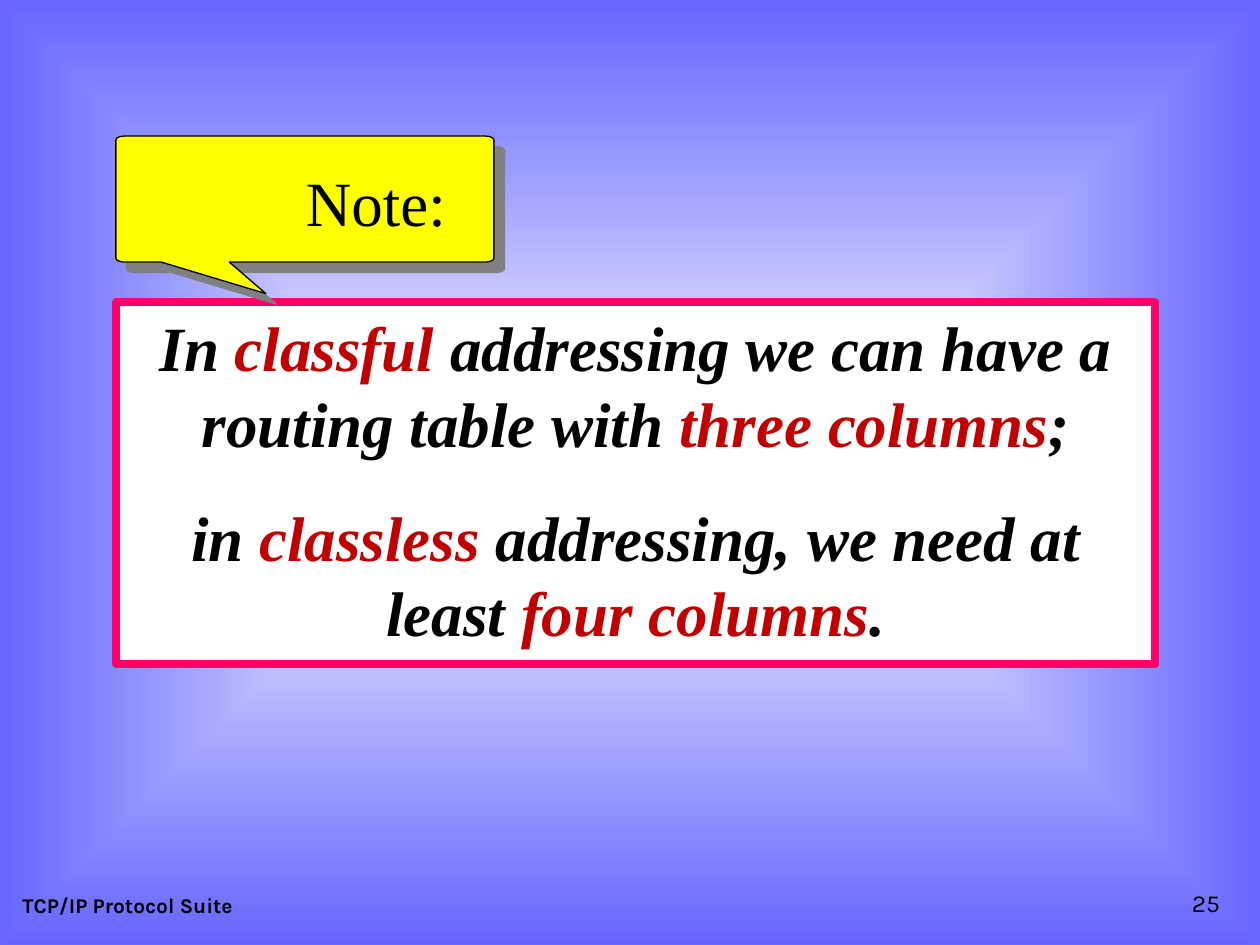
from dataclasses import dataclass
from math import cos, pi, sin

from pptx import Presentation
from pptx.dml.color import RGBColor
from pptx.enum.shapes import MSO_SHAPE as Shape
from pptx.enum.text import MSO_ANCHOR as Anchor, MSO_AUTO_SIZE as AutoSize, PP_ALIGN as Align
from pptx.oxml import parse_xml
from pptx.util import Inches, Pt

NAMESPACES = (
    'xmlns:a="http://schemas.openxmlformats.org/drawingml/2006/main" '
    'xmlns:p="http://schemas.openxmlformats.org/presentationml/2006/main"'
)


@dataclass(frozen=True)
class Theme:
    """Colours, fonts and type sizes of the deck."""
    black: str = "000000"
    white: str = "FFFFFF"
    blue: str = "6666FF"
    pink: str = "FF0066"
    red: str = "C00000"
    yellow: str = "FFFF00"
    grey: str = "808080"
    serif: str = "Times New Roman"
    sans: str = "Karla"
    large: int = 36
    number: int = 14
    footer: int = 12


def set_values(target, values):
    """Set each attribute named in a dict of format values."""
    for name, value in values.items():
        setattr(target, name, value)


class SlideBuilder:
    """Holds the theme and the current slide."""

    def __init__(self, slide, theme):
        """Keep the slide and its theme."""
        self.slide, self.theme = slide, theme

    def background(self):
        """Fill the background with a gradient spreading from the centre."""
        stops = "".join(
            f'<a:gs pos="{position}"><a:srgbClr val="{color}"/></a:gs>'
            for position, color in ((0, self.theme.white), (100000, self.theme.blue))
        )
        self.slide.element.cSld.insert(0, parse_xml(
            f'<p:bg {NAMESPACES}><p:bgPr><a:gradFill rotWithShape="0"><a:gsLst>{stops}</a:gsLst>'
            '<a:path path="shape"><a:fillToRect l="50000" t="50000" r="50000" b="50000"/></a:path>'
            '</a:gradFill><a:effectLst/></p:bgPr></p:bg>'
        ))

    def fill_text(self, box, paragraphs, font, frame, layout):
        """Put paragraphs of (text, colour) spans into a box."""
        set_values(box.text_frame, frame)
        for index, spans in enumerate(paragraphs):
            para = box.text_frame.add_paragraph() if index else box.text_frame.paragraphs[0]
            set_values(para, layout if index else {**layout, "space_before": Pt(0)})
            for text, color in spans:
                span = para.add_run()
                span.text = text
                set_values(span.font, font)
                span.font.color.rgb = RGBColor.from_string(color)

    def label(self, bounds, text, font, frame, align=Align.LEFT):
        """Add a one-line text box."""
        box = self.slide.shapes.add_textbox(*map(Inches, bounds))
        self.fill_text(box, [[(text, self.theme.black)]], font, frame, {"alignment": align})

    def paint(self, shape, fill, line, width):
        """Give a shape a solid fill and outline without shadow."""
        shape.shadow.inherit = False
        shape.fill.solid()
        shape.fill.fore_color.rgb = RGBColor.from_string(fill)
        shape.line.color.rgb = RGBColor.from_string(line)
        shape.line.width = Pt(width)

    def panel(self, bounds, paragraphs, font):
        """Add the framed panel with its centred statements."""
        box = self.slide.shapes.add_shape(Shape.RECTANGLE, *map(Inches, bounds))
        self.paint(box, self.theme.white, self.theme.pink, 4.5)
        frame = {"word_wrap": True, "vertical_anchor": Anchor.TOP,
                 "auto_size": AutoSize.SHAPE_TO_FIT_TEXT}
        layout = {"alignment": Align.CENTER, "space_before": Pt(12), "space_after": Pt(10)}
        self.fill_text(box, paragraphs, font, frame, layout)

    def callout(self, bounds, pointer, radii, steps=4):
        """Add a rounded callout with a pointer and an offset shadow."""
        left, top, width, height = bounds
        across, down = radii
        near_x, far_x = left + across, left + width - across
        near_y, far_y = top + down, top + height - down
        corners = ((far_x, near_y, 270), (far_x, far_y, 0), (near_x, far_y, 90), (near_x, near_y, 180))
        points = []
        for x, y, start in corners:
            if start == 90:
                points.extend(pointer)
            for step in range(steps + 1):
                angle = (start + 90 * step / steps) * pi / 180
                points.append((x + across * cos(angle), y + down * sin(angle)))
        outline = [(Inches(x), Inches(y)) for x, y in points]
        builder = self.slide.shapes.build_freeform(*outline[0])
        builder.add_line_segments(outline[1:], close=True)
        shape = builder.convert_to_shape()
        self.paint(shape, self.theme.yellow, self.theme.black, 0.75)
        effects = shape.element.spPr.find("{*}effectLst")
        effects.append(parse_xml(
            f'<a:outerShdw {NAMESPACES} dist="{Pt(8.5)}" dir="2700000" algn="ctr" rotWithShape="0">'
            f'<a:srgbClr val="{self.theme.grey}"/></a:outerShdw>'
        ))


def main():
    """Build and save the slide."""
    theme = Theme()
    deck = Presentation()
    set_values(deck, {"slide_width": Inches(10), "slide_height": Inches(7.5)})
    page = SlideBuilder(deck.slides.add_slide(deck.slide_layouts[6]), theme)
    page.background()

    large = {"name": theme.serif, "size": Pt(theme.large)}
    bottom = {"word_wrap": True, "vertical_anchor": Anchor.BOTTOM}
    page.label((0.08, 6.83, 3.17, 0.5), "TCP/IP Protocol Suite",
               {"name": theme.sans, "size": Pt(theme.footer), "bold": True}, bottom)
    page.label((7.7, 6.83, 2.08, 0.5), "25",
               {"name": theme.sans, "size": Pt(theme.number)}, bottom, Align.RIGHT)

    statements = [
        [("In ", theme.black), ("classful", theme.red),
         (" addressing we can have a routing table with ", theme.black),
         ("three columns", theme.red), (";", theme.black)],
        [("in ", theme.black), ("classless", theme.red),
         (" addressing, we need at least ", theme.black),
         ("four columns", theme.red), (".", theme.black)],
    ]
    page.panel((0.92, 2.4, 8.25, 2.87), statements, {**large, "bold": True, "italic": True})
    page.callout((0.92, 1.08, 3, 1), ((1.82, 2.08), (2.11, 2.33), (1.28, 2.08)), (0.07, 0.03))
    page.label((2.33, 1.25, 1.31, 0.7), "Note:", large,
               {"word_wrap": False, "auto_size": AutoSize.SHAPE_TO_FIT_TEXT})
    deck.save("out.pptx")


if __name__ == "__main__":
    main()
